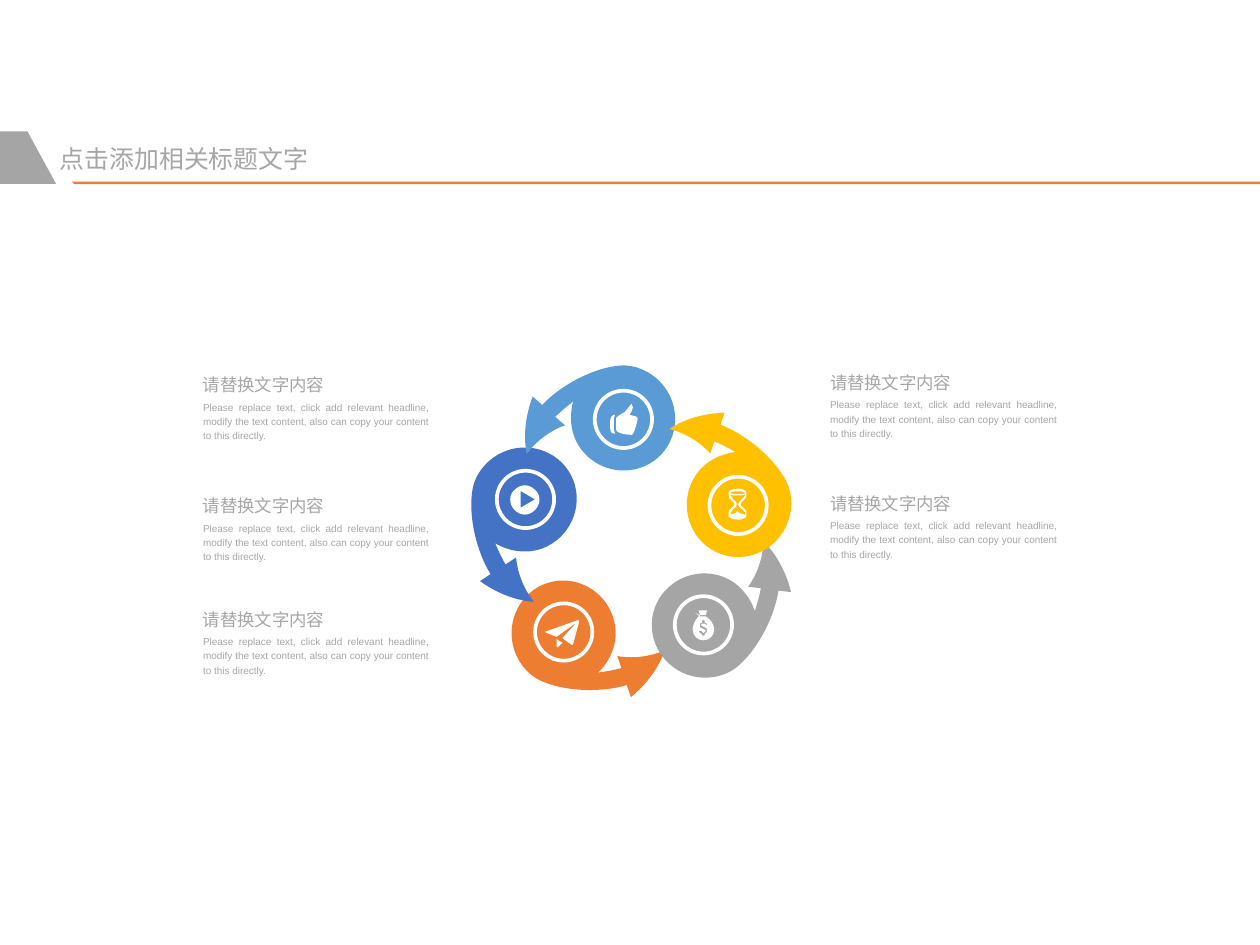
from dataclasses import dataclass
from math import cos, radians, sin

from lxml import etree
from pptx import Presentation
from pptx.dml.color import RGBColor
from pptx.enum.shapes import MSO_SHAPE
from pptx.enum.text import MSO_AUTO_SIZE, PP_ALIGN
from pptx.oxml.ns import qn
from pptx.util import Inches, Pt

OVAL = MSO_SHAPE.OVAL
GROW = MSO_AUTO_SIZE.SHAPE_TO_FIT_TEXT
JUSTIFY = PP_ALIGN.JUSTIFY
LEFT = PP_ALIGN.LEFT

COLORS = {
    "orange": "ED7D31", "gray": "A5A5A5", "blue": "4472C4",
    "sky": "5B9BD5", "gold": "FFC000", "white": "FFFFFF", "text": "A6A6A6",
}
FONT = "Arial"
BADGE_SIZE = 0.48
HEADING = "请替换文字内容"
BODY = ("Please replace text, click add relevant headline, modify the text content, "
        "also can copy your content to this directly.")

PETAL = """M -68,-12 C -53,-28 -26,-43 -3,-45 C 10,-46 23,-40 32,-30 C 48,-12 47,16 29,32
C 11,48 -17,46 -33,28 C -44,16 -46,-1 -42,-15 C -47,-11 -52,-7 -57,-2 -49,5
C -60,9 -72,17 -81,29 C -84,14 -82,-3 -76,-19"""
PLANE = """M -6,12 -5,13 -1,9 -6,6
M 12,-10 -16,0 -9,3 -6,4 11,-8 -1,5 0,6 7,11 8,10 13,-9"""
MONEY_BAG = """M 2,-7 -3,-7 -3,-8 2,-8 3,-12 -4,-12 -3,-8 -7,-10 -3,-7 -6,-7 -4,-7
C -7,-4 -9,0 -9,4 C -9,9 -5,13 0,13 C 5,13 9,9 9,4 C 9,0 6,-5 2,-7
M 2,7 1,8 1,9 -1,9 -1,8 -3,7 -4,5 -2,5 0,7 2,5 1,4 -3,2 -3,-1 -1,-2 -1,-4 1,-4 1,-2
3,-1 3,0 2,0 1,-1 -1,-1 -2,0 -1,1 3,3 3,6"""
PLAY = """M 8,-8 C 3,-13 -4,-13 -9,-8 C -14,-4 -14,4 -9,9 C -4,14 3,14 8,9 C 13,4 13,-4 8,-8
M -4,-7 8,0 -4,7"""
THUMB = """M -7,-4 C -8,-4 -11,-3 -11,1 -11,8 C -11,12 -8,12 -7,12 C -6,12 -8,11 -8,9 -8,0
C -8,-3 -6,-4 -7,-4
M 5,-4 C 5,-4 10,-9 7,-13 C 7,-14 4,-9 1,-6 C -1,-5 -6,-2 -6,-1 -6,9 C -6,11 1,13 7,13
C 9,13 12,1 12,-1 C 12,-3 6,-3 5,-4"""
HOURGLASS = """M 0,-1 C 0,1 2,2 3,3 6,6 6,8 C 4,7 0,7 0,5 -1,5 C -1,7 -5,7 -6,8 -6,6 -4,3
C -2,2 -1,1 -1,-1 C -1,-2 -2,-3 -4,-5 -6,-8 -7,-9 C -5,-8 4,-8 6,-9 6,-8 3,-5
C 2,-3 0,-2 0,-1
M -6,-11 C -4,-12 4,-12 5,-11 6,-10 C 4,-9 -4,-9 -6,-10
M 7,-8 7,-11 C 7,-12 4,-14 0,-14 C -5,-14 -8,-12 -8,-11 -8,-8 C -8,-5 -3,-3 -3,-1
C -3,1 -8,3 -8,6 -8,9 C -8,10 -5,12 0,12 C 4,12 7,10 7,9 7,6
C 7,3 2,1 2,-1 C 2,-3 7,-5 7,-8"""
TITLE_RULE = "M 60,152 1055,152 1055,154 62,154"
TITLE_TAB = "M 23,110 47,154 0,154 0,110"


@dataclass
class Stage:
    x: float
    y: float
    angle: float
    color: str
    icon: str


@dataclass
class Caption:
    x: float
    y: float
    width: float


STAGES = [
    Stage(4.72, 5.29, -150, "orange", PLANE),
    Stage(5.89, 5.23, -214.5, "gray", MONEY_BAG),
    Stage(4.40, 4.18, -75, "blue", PLAY),
    Stage(5.22, 3.51, 0, "sky", THUMB),
    Stage(6.18, 4.23, 67.7, "gold", HOURGLASS),
]
CAPTIONS = [Caption(1.7, y, 1.89) for y in (3.1, 4.11, 5.06)]
CAPTIONS += [Caption(6.95, y, 1.9) for y in (3.08, 4.09)]


def place(token: str, x: float, y: float, angle: float) -> tuple[int, int]:
    across, down = (float(value) / 100 for value in token.split(","))
    c, s = cos(radians(angle)), sin(radians(angle))
    return Inches(x + across * c - down * s), Inches(y + across * s + down * c)


def bend(shape, curve_starts: list[int]) -> None:
    lines = list(shape.element.iter(qn("a:lnTo")))
    for start in curve_starts:
        curve = etree.Element(qn("a:cubicBezTo"))
        lines[start].addprevious(curve)
        for line in lines[start:start + 3]:
            curve.append(line[0])
            line.getparent().remove(line)


def add_outline(shapes, outline: str, color: str, x: float = 0, y: float = 0,
                angle: float = 0) -> None:
    builder = None
    curve_starts = []
    line_count = 0
    for contour in outline.split("M")[1:]:
        first, *tokens = contour.split()
        points = []
        for token in tokens:
            if token == "C":
                curve_starts.append(line_count + len(points))
            else:
                points.append(place(token, x, y, angle))
        origin = place(first, x, y, angle)
        if builder is None:
            builder = shapes.build_freeform(*origin, scale=1.0)
        else:
            builder.move_to(*origin)
        builder.add_line_segments(points, close=True)
        line_count += len(points)
    shape = builder.convert_to_shape()
    bend(shape, curve_starts)
    shape.shadow.inherit = False
    shape.fill.solid()
    shape.fill.fore_color.rgb = RGBColor.from_string(COLORS[color])
    shape.line.fill.background()


def add_stage(slide, stage: Stage) -> None:
    shapes = slide.shapes.add_group_shape().shapes
    add_outline(shapes, PETAL, stage.color, stage.x, stage.y, stage.angle)
    badge = shapes.add_shape(OVAL, Inches(stage.x - BADGE_SIZE / 2),
                             Inches(stage.y - BADGE_SIZE / 2),
                             Inches(BADGE_SIZE), Inches(BADGE_SIZE))
    badge.shadow.inherit = False
    badge.fill.background()
    badge.line.color.rgb = RGBColor.from_string(COLORS["white"])
    badge.line.width = Pt(2.25)
    add_outline(shapes, stage.icon, "white", stage.x, stage.y)


def add_text(slide, text: str, x: float, y: float, width: float, height: float,
             size: float, alignment=JUSTIFY, spacing: float = 1.2):
    frame = slide.shapes.add_textbox(Inches(x), Inches(y), Inches(width),
                                     Inches(height)).text_frame
    frame.margin_left = frame.margin_right = frame.margin_top = frame.margin_bottom = 0
    frame.word_wrap = True
    frame.auto_size = GROW
    frame.text = text
    paragraph = frame.paragraphs[0]
    paragraph.alignment = alignment
    paragraph.line_spacing = spacing
    font = paragraph.runs[0].font
    font.name = FONT
    font.size = Pt(size)
    font.color.rgb = RGBColor.from_string(COLORS["text"])
    return paragraph


def main() -> None:
    presentation = Presentation()
    presentation.slide_width = Inches(10.55)
    presentation.slide_height = Inches(7.91)
    slide = presentation.slides.add_slide(presentation.slide_layouts[6])

    for stage in STAGES:
        add_stage(slide, stage)
    for caption in CAPTIONS:
        add_text(slide, HEADING, caption.x, caption.y, 1.67, 0.19, 10.5)
        add_text(slide, BODY, caption.x, caption.y + 0.24, caption.width, 0.35, 6)

    add_outline(slide.shapes, TITLE_RULE, "orange")
    add_outline(slide.shapes, TITLE_TAB, "gray")
    title = add_text(slide, "点击添加相关标题文字", 0.5, 1.2, 2.52, 0.25, 15, LEFT, 1.0)
    title.space_before = Pt(3)
    title.space_after = Pt(6)

    presentation.save("out.pptx")


if __name__ == "__main__":
    main()
